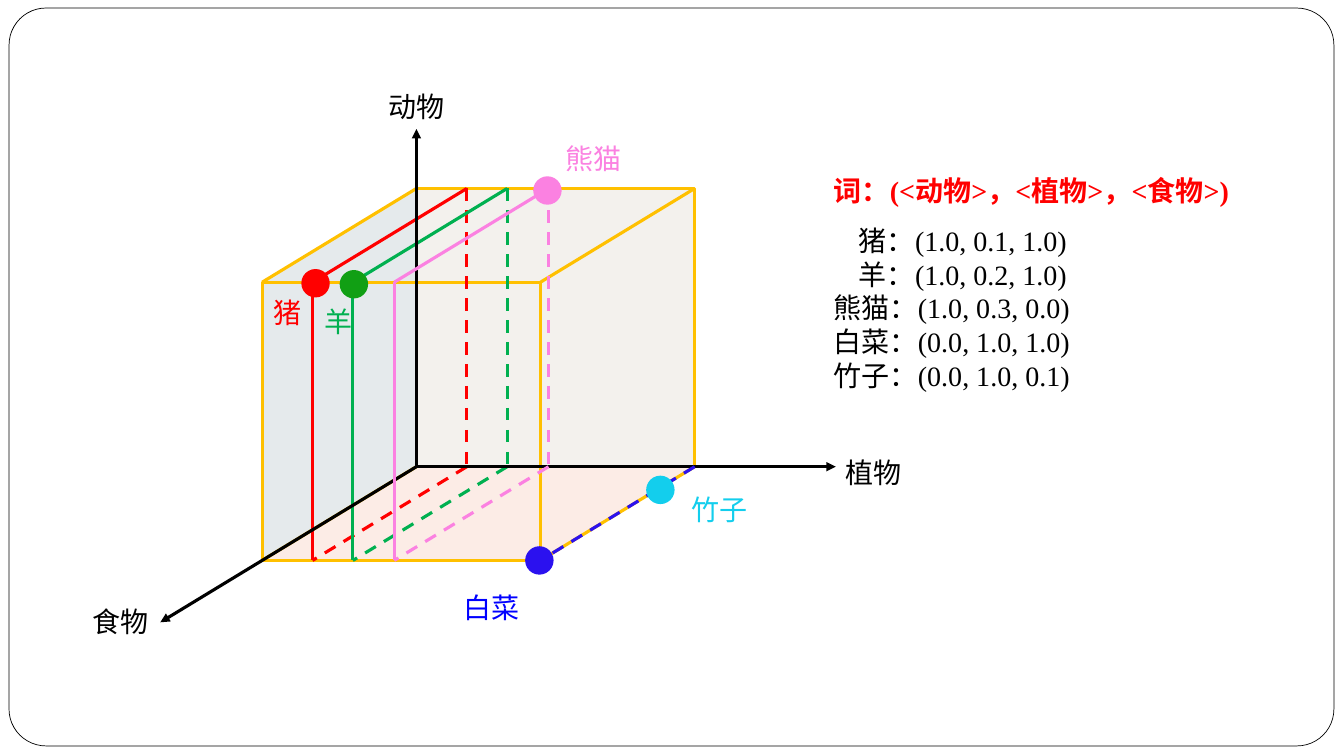
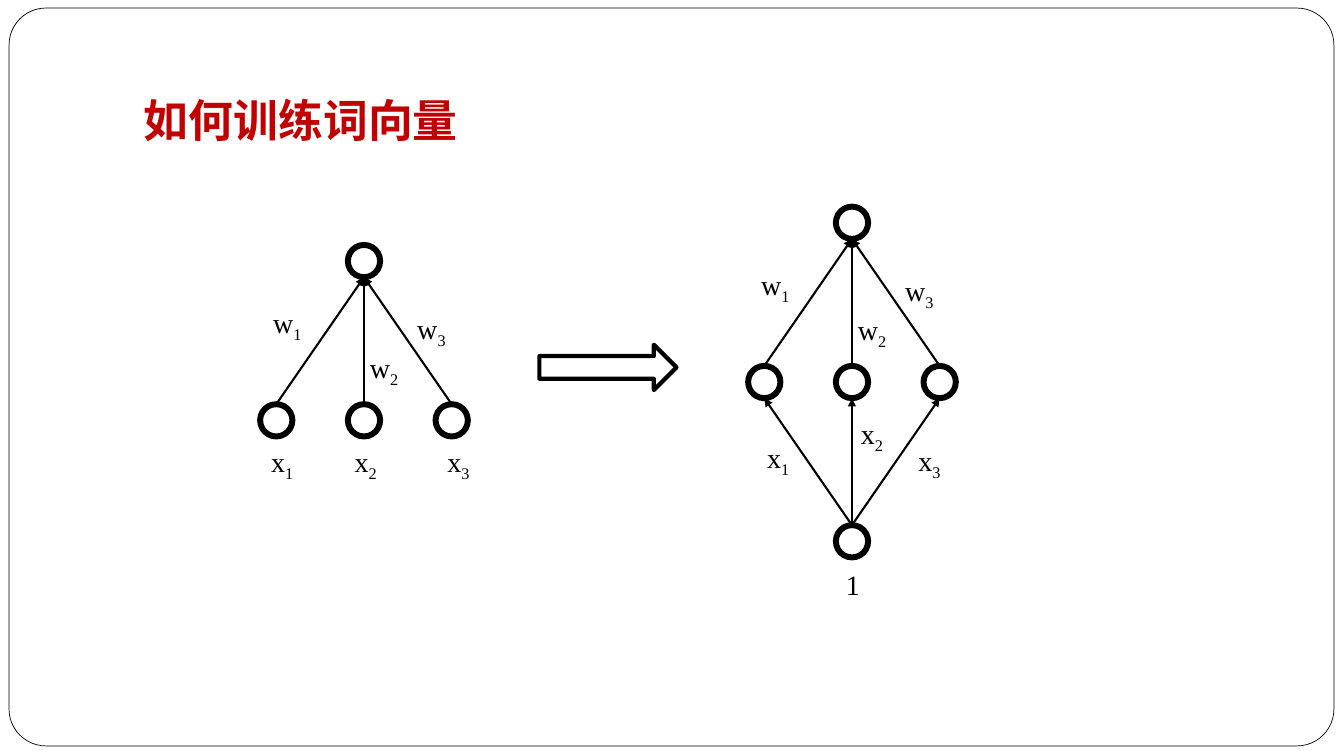
from typing import NamedTuple

from lxml import etree
from pptx import Presentation
from pptx.dml.color import RGBColor
from pptx.enum import dml, lang, shapes, text
from pptx.oxml.ns import qn
from pptx.util import Inches, Pt

BLACK, WHITE, RED, GREEN = "000000", "FFFFFF", "FF0000", "00B050"
GOLD, PINK, BLUE, CYAN = "FFC000", "FB81E1", "2B11EF", "13CEED"
TITLE_RED = "C00000"
FONT = "Times New Roman"

Point = tuple[float, float]


class Label(NamedTuple):
    content: str
    left: float
    top: float
    color: str = BLACK


class Dot(NamedTuple):
    x: float
    y: float
    color: str


class Track(NamedTuple):
    """A word's plane through the cube, at its distance along the plant axis."""
    plant: float
    color: str


# Cube geometry: the axes meet at ORIGIN and the food axis runs along DEPTH.
ORIGIN = (4.13, 4.63)
DEPTH = (-1.53, 0.93)
SIDE = 2.76

TRACKS = [Track(0.5, RED), Track(0.9, GREEN)]
PANDA_TRACK = Track(1.31, PINK)
DOTS = [
    Dot(3.13, 2.81, RED), Dot(3.51, 2.82, "119F14"), Dot(5.43, 1.89, PINK),
    Dot(5.35, 5.56, BLUE), Dot(6.55, 4.86, CYAN),
]
CUBE_LABELS = [
    Label("植物", 8.29, 4.47), Label("动物", 3.76, 0.84), Label("食物", 0.82, 5.95),
    Label("熊猫", 5.51, 1.35, PINK), Label("白菜", 4.5, 5.81, "0000FF"),
    Label("猪", 2.61, 2.88, RED), Label("羊", 3.12, 2.97, GREEN),
    Label("竹子", 6.76, 4.84, CYAN),
]
VECTORS = [
    ("猪：(1.0, 0.1, 1.0)", 0.25), ("羊：(1.0, 0.2, 1.0)", 0.25),
    ("熊猫：(1.0, 0.3, 0.0)", 0), ("白菜：(0.0, 1.0, 1.0)", 0),
    ("竹子：(0.0, 1.0, 0.1)", 0),
]

# Network geometry: weights are placed relative to the output neuron's centre.
NEURON = 0.32
SPREAD = 0.87
ROW_GAP = 1.58
WEIGHTS = [Label("w1", -1.0, 0.39), Label("w2", -0.04, 0.84), Label("w3", 0.43, 0.45)]
LEFT_INPUTS = [Label("x1", 2.59, 4.36), Label("x2", 3.42, 4.36), Label("x3", 4.34, 4.36)]
RIGHT_INPUTS = [Label("x1", 7.51, 4.32), Label("x2", 8.44, 4.08), Label("x3", 9.01, 4.35)]


def rgb(value: str) -> RGBColor:
    return RGBColor.from_string(value)


def style(sp, fill: str | None = None, line: str | None = None,
          line_width: float = 1, opacity: int = 100) -> None:
    sp.shadow.inherit = False
    if fill:
        sp.fill.solid()
        sp.fill.fore_color.rgb = rgb(fill)
        if opacity < 100:
            color = sp.element.spPr.find(f"{qn('a:solidFill')}/{qn('a:srgbClr')}")
            etree.SubElement(color, qn("a:alpha"), val=str(opacity * 1000))
    else:
        sp.fill.background()
    if line:
        sp.line.color.rgb = rgb(line)
        sp.line.width = Pt(line_width)
    else:
        sp.line.fill.background()


def add_shape(slide, kind, left: float, top: float, width: float, height: float, **look):
    sp = slide.shapes.add_shape(kind, *map(Inches, (left, top, width, height)))
    style(sp, **look)
    return sp


def add_circle(slide, center: Point, size: float, **look) -> None:
    x, y = center
    add_shape(slide, shapes.MSO_SHAPE.OVAL, x - size / 2, y - size / 2, size, size, **look)


def add_polygon(slide, points: list[Point], fill: str, opacity: int) -> None:
    start, *rest = [(Inches(x), Inches(y)) for x, y in points]
    builder = slide.shapes.build_freeform(*start)
    builder.add_line_segments(rest, close=True)
    style(builder.convert_to_shape(), fill=fill, opacity=opacity)


def add_line(slide, start: Point, end: Point, color: str = BLACK, width: float = 2.25,
             dashed: bool = False, arrow: bool = False) -> None:
    line = slide.shapes.add_connector(
        shapes.MSO_CONNECTOR.STRAIGHT, *map(Inches, (*start, *end)))
    line.line.color.rgb = rgb(color)
    line.line.width = Pt(width)
    if dashed:
        line.line.dash_style = dml.MSO_LINE.DASH
    if arrow:
        ln = line.element.spPr.find(qn("a:ln"))
        etree.SubElement(ln, qn("a:tailEnd"), type="triangle")
    etree.SubElement(line.element.spPr, qn("a:effectLst"))


def add_run(p, content: str, color: str = BLACK, size: float = 20,
            bold: bool = False, subscript: bool = False) -> None:
    r = p.add_run()
    r.text = content
    look = {"name": FONT, "size": Pt(size), "bold": bold,
            "language_id": lang.MSO_LANGUAGE_ID.SIMPLIFIED_CHINESE}
    for name, value in look.items():
        setattr(r.font, name, value)
    r.font.color.rgb = rgb(color)
    if subscript:
        r._r.get_or_add_rPr().set("baseline", "-25000")


def add_text_frame(slide, left: float, top: float, width: float, height: float,
                   wrap: bool = True):
    tf = slide.shapes.add_textbox(*map(Inches, (left, top, width, height))).text_frame
    tf.word_wrap = wrap
    return tf


def add_label(slide, label: Label) -> None:
    width = 0.2 + 0.28 * len(label.content)
    tf = add_text_frame(slide, label.left, label.top, width, 0.44, wrap=False)
    add_run(tf.paragraphs[0], label.content, label.color)


def add_variable(slide, label: Label, dx: float = 0, dy: float = 0) -> None:
    """Write a letter followed by its subscript index."""
    tf = add_text_frame(slide, label.left + dx, label.top + dy, 0.57, 0.44)
    letter, index = label.content
    add_run(tf.paragraphs[0], letter)
    add_run(tf.paragraphs[0], index, subscript=True)


def add_title(slide, content: str) -> None:
    tf = add_text_frame(slide, 1.33, 0.3, 11.33, 1.25)
    tf.vertical_anchor = text.MSO_ANCHOR.BOTTOM
    tf.margin_bottom = Inches(0.1)
    add_run(tf.paragraphs[0], content, TITLE_RED, size=32, bold=True)


def new_slide(prs):
    """Add a blank slide with the shared rounded frame."""
    slide = prs.slides.add_slide(prs.slide_layouts[6])
    frame = add_shape(slide, shapes.MSO_SHAPE.ROUNDED_RECTANGLE, 0.09, 0.08, 13.14, 7.32,
                      fill=WHITE, line=BLACK, line_width=0.5)
    frame.adjustments[0] = 0.05
    return slide


def project(plant: float, food: float, animal: float) -> Point:
    """Place a point given inches along plant and animal, and a share of the depth."""
    return (ORIGIN[0] + plant + DEPTH[0] * food, ORIGIN[1] - animal + DEPTH[1] * food)


def add_track(slide, track: Track) -> None:
    back_floor, back_top, front_floor, front_top = (
        project(track.plant, food, animal) for food in (0, 1) for animal in (0, SIDE))
    add_line(slide, back_floor, front_floor, track.color, dashed=True)
    add_line(slide, back_top, back_floor, track.color, dashed=True)
    add_line(slide, back_top, front_top, track.color)
    add_line(slide, front_top, front_floor, track.color)


def add_cube(slide) -> None:
    rect = shapes.MSO_SHAPE.RECTANGLE
    add_polygon(slide, [project(0, 0, SIDE), project(0, 0, 0), project(0, 1, 0),
                        project(0, 1, SIDE)], "B8C7CC", 36)
    add_shape(slide, rect, *project(0, 0, SIDE), SIDE, SIDE,
              fill="E9E5DC", opacity=50, line=GOLD, line_width=2.25)
    add_polygon(slide, [project(0, 1, 0), project(0, 0, 0), project(SIDE, 0, 0),
                        project(SIDE, 1, 0)], "FAD9CD", 49)
    for plant in (0, SIDE):
        for animal in (0, SIDE):
            add_line(slide, project(plant, 0, animal), project(plant, 1, animal), GOLD)
    add_shape(slide, rect, *project(0, 1, SIDE), SIDE, SIDE, line=GOLD, line_width=2.25)


def build_word_space(prs) -> None:
    slide = new_slide(prs)
    add_cube(slide)
    for track in TRACKS:
        add_track(slide, track)
    for tip in (project(0, 0, 3.35), project(4.16, 0, 0), project(0, 1.66, 0)):
        add_line(slide, ORIGIN, tip, arrow=True)
    add_track(slide, PANDA_TRACK)
    add_line(slide, project(SIDE, 0, 0), project(SIDE, 1, 0), BLUE, dashed=True)
    for dot in DOTS:
        add_circle(slide, (dot.x, dot.y), 0.24, fill=dot.color, line=dot.color, line_width=3)
    for label in CUBE_LABELS:
        add_label(slide, label)

    tf = add_text_frame(slide, 8.17, 1.67, 4.32, 2.29)
    p = tf.paragraphs[0]
    p.space_after = Pt(12)
    add_run(p, "词：(<动物>，<植物>，<食物>)", RED, bold=True)
    for content, indent in VECTORS:
        p = tf.add_paragraph()
        p._p.get_or_add_pPr().set("marL", str(Inches(indent)))
        add_run(p, content)


def add_neuron(slide, center: Point) -> None:
    add_circle(slide, center, NEURON, line=BLACK, line_width=4.25)


def add_edge(slide, lower: Point, upper: Point) -> None:
    """Draw an arrow from the top of one neuron to the bottom of another."""
    add_line(slide, (lower[0], lower[1] - NEURON / 2), (upper[0], upper[1] + NEURON / 2),
             width=1.5, arrow=True)


def add_weighted_sum(slide, output: Point) -> list[Point]:
    """Draw three neurons feeding one output; return the centres of the three."""
    x, y = output
    row = [(x + step * SPREAD, y + ROW_GAP) for step in (-1, 0, 1)]
    for center in (output, *row):
        add_neuron(slide, center)
    for center in row:
        add_edge(slide, center, output)
    for weight in WEIGHTS:
        add_variable(slide, weight, x, y)
    return row


def build_training(prs) -> None:
    slide = new_slide(prs)
    add_title(slide, "如何训练词向量")
    add_weighted_sum(slide, (3.61, 2.59))
    row = add_weighted_sum(slide, (8.45, 2.21))
    source = (8.45, 2.21 + 2 * ROW_GAP)
    add_neuron(slide, source)
    for center in row:
        add_edge(slide, source, center)
    for label in LEFT_INPUTS + RIGHT_INPUTS:
        add_variable(slide, label)
    add_label(slide, Label("1", 8.29, 5.58))
    add_shape(slide, shapes.MSO_SHAPE.RIGHT_ARROW, 5.35, 3.42, 1.36, 0.45,
              line=BLACK, line_width=3)


def main() -> None:
    prs = Presentation()
    prs.slide_width, prs.slide_height = Inches(13.33), Inches(7.5)
    build_word_space(prs)
    build_training(prs)
    prs.save("out.pptx")


if __name__ == "__main__":
    main()
